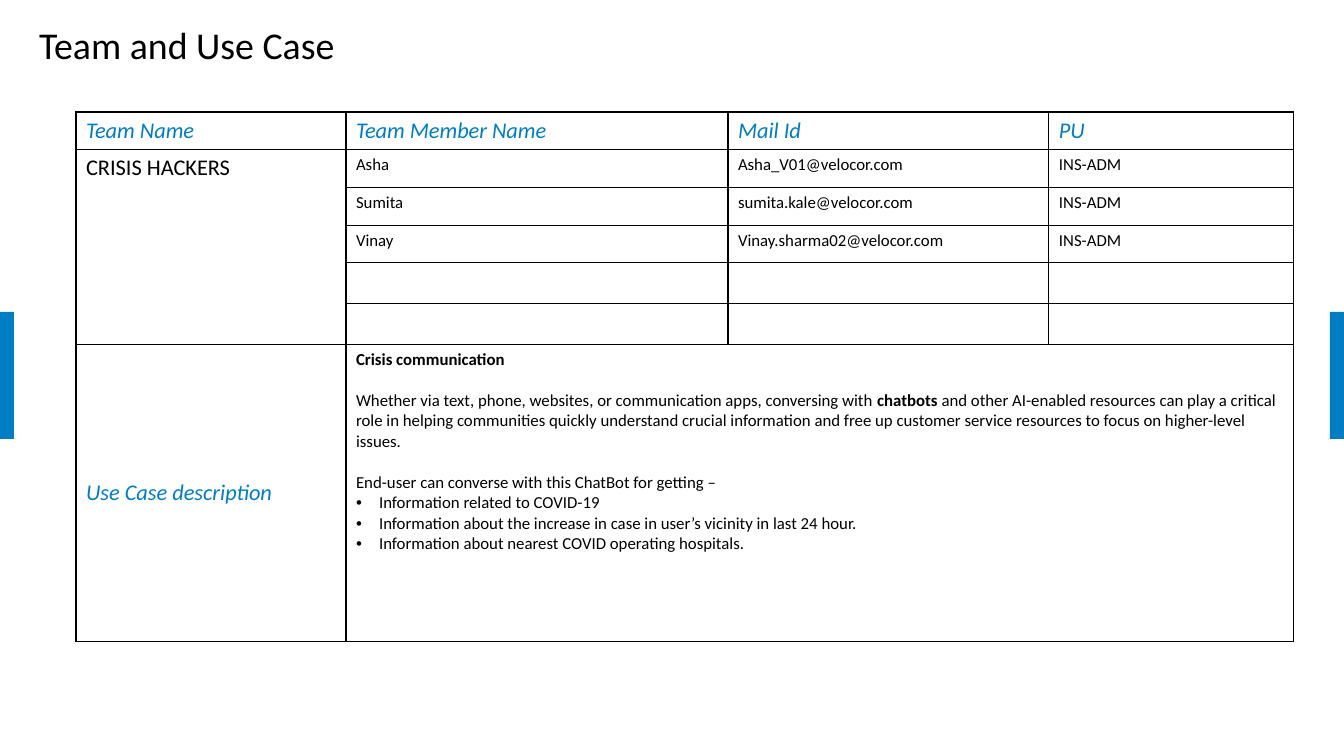
from dataclasses import dataclass

from lxml import etree
from pptx import Presentation
from pptx.dml.color import RGBColor
from pptx.enum.shapes import MSO_SHAPE
from pptx.enum.text import MSO_ANCHOR, MSO_AUTO_SIZE, PP_ALIGN
from pptx.oxml.ns import qn
from pptx.util import Pt

RECT = MSO_SHAPE.RECTANGLE
TOP, MIDDLE = MSO_ANCHOR.TOP, MSO_ANCHOR.MIDDLE
LEFT = PP_ALIGN.LEFT
NO_FIT = MSO_AUTO_SIZE.NONE
EMU_PER_PX = 914400 / 100.8
SLIDE_W, SLIDE_H = 1344, 756
BAR_W, BAR_H, BAR_TOP = 14, 127, 312


@dataclass(frozen=True)
class Theme:
    """Colours, font, type sizes and paragraph measures."""
    font: str = "Calibri"
    accent: str = "007DC3"
    ink: str = "000000"
    paper: str = "FFFFFF"
    title: float = 27
    label: float = 16
    body: float = 12
    border: float = 1
    gap: float = 14.65
    indent: int = 23


THEME = Theme()
LABEL = {"size": THEME.label, "color": THEME.accent, "italic": True}

COL_WIDTHS = (270, 382, 321, 245)
ROW_HEIGHTS = (37, 38, 38, 37, 41, 41, 297)
HEADERS = ("Team Name", "Team Member Name", "Mail Id", "PU")
TEAM_NAME = "CRISIS HACKERS"
MEMBERS = (
    ("Asha", "Asha_V01@velocor.com", "INS-ADM"),
    ("Sumita", "sumita.kale@velocor.com", "INS-ADM"),
    ("Vinay", "Vinay.sharma02@velocor.com", "INS-ADM"),
)
# Each paragraph: its (text, bold) runs, then its paragraph format.
DESCRIPTION = (
    ([("Crisis communication", True)], {}),
    ([("Whether via text, phone, websites, or communication apps, "
       "conversing with ", False),
      ("chatbots", True),
      (" and other AI-enabled resources can play a critical role in helping "
       "communities quickly understand crucial information and free up "
       "customer service resources to focus on higher-level issues.", False)],
     {"before": THEME.gap}),
    ([("End-user can converse with this ChatBot for getting –", False)],
     {"before": THEME.gap}),
    ([("Information related to COVID-19", False)], {"bullet": True}),
    ([("Information about the increase in case in user’s vicinity in last "
       "24 hour.", False)], {"bullet": True}),
    ([("Information about nearest COVID operating hospitals.", False)],
     {"bullet": True}),
)


def px(n):
    """Turn pixels into EMU."""
    return round(n * EMU_PER_PX)


def rgb(color):
    """Turn a hex string into a colour."""
    return RGBColor.from_string(color)


def add_run(p, text, size=THEME.body, color=THEME.ink, bold=False,
            italic=False):
    """Add one formatted run to a paragraph."""
    r = p.add_run()
    r.text = text
    r.font.name = THEME.font
    r.font.size = Pt(size)
    r.font.bold = bold
    r.font.italic = italic
    r.font.color.rgb = rgb(color)


def format_paragraph(p, before=0, bullet=False):
    """Set the space above a paragraph and give it a bullet if asked."""
    p.space_before = Pt(before)
    if bullet:
        pPr = p._p.get_or_add_pPr()
        pPr.set("marL", str(px(THEME.indent)))
        pPr.set("indent", str(-px(THEME.indent)))
        etree.SubElement(pPr, qn("a:buFont"), typeface="Arial")
        etree.SubElement(pPr, qn("a:buChar"), char="•")


def style_cell(cell):
    """Fill a cell and draw its four borders."""
    cell.fill.solid()
    cell.fill.fore_color.rgb = rgb(THEME.paper)
    tcPr = cell._tc.get_or_add_tcPr()
    for i, side in enumerate(("lnL", "lnR", "lnT", "lnB")):
        ln = etree.Element(qn(f"a:{side}"), w=str(Pt(THEME.border)))
        fill = etree.SubElement(ln, qn("a:solidFill"))
        etree.SubElement(fill, qn("a:srgbClr"), val=THEME.ink)
        tcPr.insert(i, ln)


def write_cell(cell, text, **fmt):
    """Write one run of text in a cell."""
    add_run(cell.text_frame.paragraphs[0], text, **fmt)


def write_description(cell):
    """Write the use case paragraphs in a cell."""
    tf = cell.text_frame
    for i, (runs, fmt) in enumerate(DESCRIPTION):
        p = tf.add_paragraph() if i else tf.paragraphs[0]
        format_paragraph(p, **fmt)
        for text, bold in runs:
            add_run(p, text, bold=bold)


def add_team_table(slide, x, y):
    """Add the table of the team and its use case."""
    table = slide.shapes.add_table(
        len(ROW_HEIGHTS), len(COL_WIDTHS), px(x), px(y),
        px(sum(COL_WIDTHS)), px(sum(ROW_HEIGHTS))).table
    table.first_row = table.horz_banding = False
    for col, width in zip(table.columns, COL_WIDTHS):
        col.width = px(width)
    for row, height in zip(table.rows, ROW_HEIGHTS):
        row.height = px(height)
    for cell in table.iter_cells():
        style_cell(cell)

    last = len(ROW_HEIGHTS) - 1
    team, label, use_case = (table.cell(1, 0), table.cell(last, 0),
                             table.cell(last, 1))
    team.merge(table.cell(last - 1, 0))
    use_case.merge(table.cell(last, len(COL_WIDTHS) - 1))

    for c, text in enumerate(HEADERS):
        write_cell(table.cell(0, c), text, **LABEL)
    write_cell(team, TEAM_NAME, size=THEME.label)
    for r, member in enumerate(MEMBERS, 1):
        for c, text in enumerate(member, 1):
            write_cell(table.cell(r, c), text)
    label.vertical_anchor = MIDDLE
    write_cell(label, "Use Case description", **LABEL)
    write_description(use_case)


def add_side_bar(slide, x):
    """Add an accent bar at a slide edge."""
    sp = slide.shapes.add_shape(RECT, px(x), px(BAR_TOP), px(BAR_W), px(BAR_H))
    sp.shadow.inherit = False
    sp.fill.solid()
    sp.fill.fore_color.rgb = rgb(THEME.accent)
    sp.line.fill.background()


def set_title(slide, text, x, y, w, h):
    """Place and format the title placeholder."""
    sp = slide.shapes.title
    sp.left, sp.top, sp.width, sp.height = map(px, (x, y, w, h))
    tf = sp.text_frame
    tf.word_wrap = True
    tf.auto_size = NO_FIT
    tf.vertical_anchor = TOP
    p = tf.paragraphs[0]
    p.alignment = LEFT
    p.line_spacing = 0.9
    add_run(p, text, size=THEME.title)


def main():
    """Build the slide and save it."""
    prs = Presentation()
    prs.slide_width, prs.slide_height = px(SLIDE_W), px(SLIDE_H)
    slide = prs.slides.add_slide(prs.slide_layouts.get_by_name("Title Only"))
    for x in (SLIDE_W - BAR_W, 0):
        add_side_bar(slide, x)
    set_title(slide, "Team and Use Case", 29, 22, 1282, 66)
    add_team_table(slide, 76, 112)
    prs.save("out.pptx")


main()
